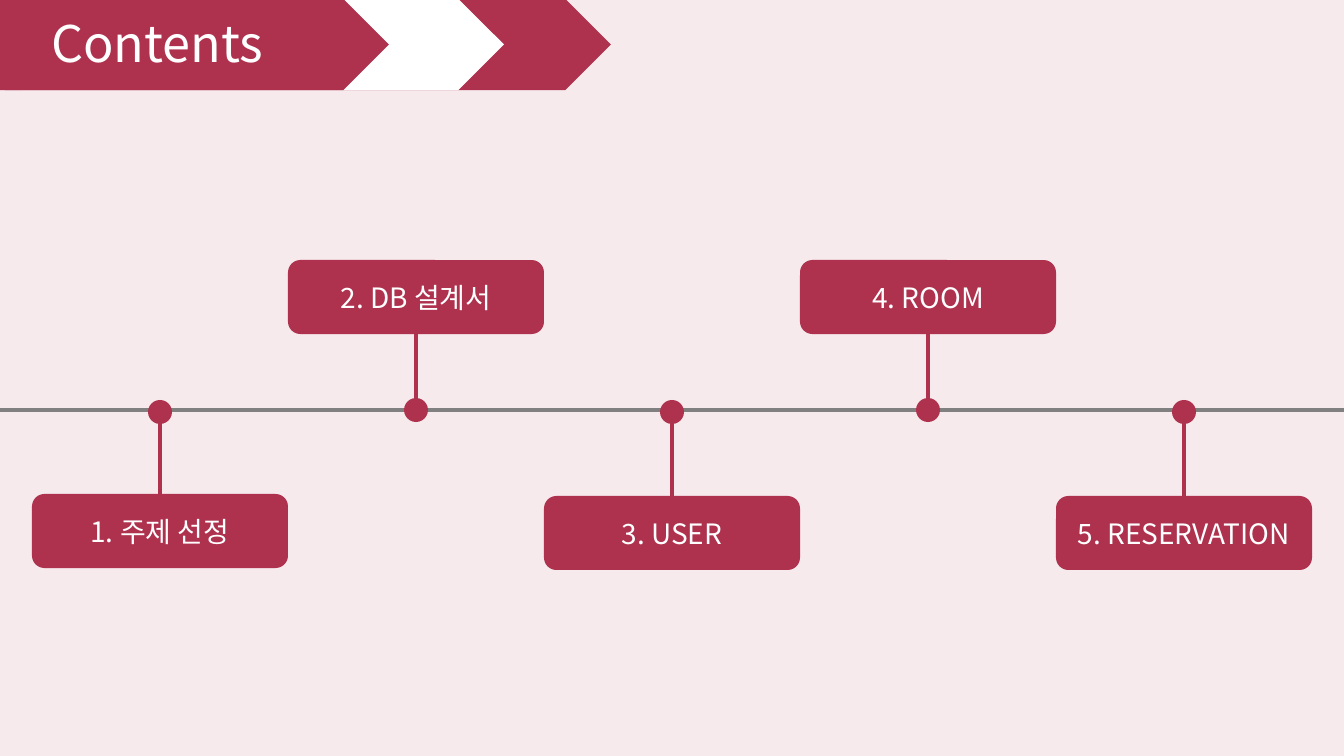
import lxml.etree
import pptx
import pptx.dml.color
import pptx.enum.shapes
import pptx.enum.text
import pptx.oxml.ns
import pptx.util

SHAPES = pptx.enum.shapes.MSO_SHAPE
ALIGN = pptx.enum.text.PP_ALIGN
EMU_PER_PX = 914400 / 100.8
FONT = "Noto Sans CJK KR"
CRIMSON, WHITE, GRAY, BLUSH = "AE314E", "FFFFFF", "808080", "F6EAEC"

# Banner arrows, back to front: left, width, colour
BANNER_ARROWS = [(-1, 612, CRIMSON), (21, 483, WHITE), (5, 384, CRIMSON)]

# Timeline steps: label, top of box, top of dot
STEPS = [
    ("1. 주제 선정", 494, 400),
    ("2. DB 설계서", 260, 398),
    ("3. USER", 496, 400),
    ("4. ROOM", 260, 398),
    ("5. RESERVATION", 496, 400),
]
AXIS_Y = 410
FIRST_LEFT, BOX_WIDTH, BOX_HEIGHT, DOT_SIZE = 32, 256, 74, 24


def px(value):
    return pptx.util.Emu(round(value * EMU_PER_PX))


def rgb(color):
    return pptx.dml.color.RGBColor.from_string(color)


def write_text(shape, text, size, alignment):
    frame = shape.text_frame
    frame.text = text
    frame.word_wrap = True
    frame.auto_size = pptx.enum.text.MSO_AUTO_SIZE.NONE
    frame.vertical_anchor = pptx.enum.text.MSO_ANCHOR.MIDDLE
    paragraph = frame.paragraphs[0]
    paragraph.alignment = alignment
    paragraph.font.size = pptx.util.Pt(size)
    paragraph.font.color.rgb = rgb(WHITE)
    paragraph.font.name = FONT
    # Korean letters take the East Asian typeface
    latin = next(paragraph._p.iter(pptx.oxml.ns.qn("a:latin")))
    east_asian = lxml.etree.Element(pptx.oxml.ns.qn("a:ea"), typeface=FONT)
    latin.addnext(east_asian)


def add_filled_shape(slide, kind, left, top, width, height, color):
    shape = slide.shapes.add_shape(kind, px(left), px(top), px(width), px(height))
    shape.shadow.inherit = False
    shape.fill.solid()
    shape.fill.fore_color.rgb = rgb(color)
    shape.line.fill.background()
    return shape


def add_line(slide, start, end, color):
    line = slide.shapes.add_connector(
        pptx.enum.shapes.MSO_CONNECTOR.STRAIGHT, *map(px, start + end))
    line.line.color.rgb = rgb(color)
    line.line.width = pptx.util.Pt(3)
    properties = line.element.find(pptx.oxml.ns.qn("p:spPr"))
    lxml.etree.SubElement(properties, pptx.oxml.ns.qn("a:effectLst"))
    return line


def add_banner(slide, text):
    for left, width, color in BANNER_ARROWS:
        add_filled_shape(slide, SHAPES.PENTAGON, left, -1, width, 91, color)
    title = slide.shapes.title
    title.left, title.top, title.width, title.height = map(px, (41, 6, 246, 72))
    write_text(title, text, 36, ALIGN.LEFT)
    # Bring the title in front of the arrows
    slide.shapes.element.append(title.element)


def add_step(slide, label, left, box_top, dot_top):
    box = add_filled_shape(slide, SHAPES.ROUNDED_RECTANGLE,
                           left, box_top, BOX_WIDTH, BOX_HEIGHT, CRIMSON)
    write_text(box, label, 20, ALIGN.CENTER)
    center = left + BOX_WIDTH // 2
    add_filled_shape(slide, SHAPES.OVAL, center - DOT_SIZE // 2, dot_top,
                     DOT_SIZE, DOT_SIZE, CRIMSON)
    # The stem joins the side of the box that faces the axis
    if box_top < dot_top:
        dot_edge, box_edge, side = dot_top, box_top + BOX_HEIGHT, 2
    else:
        dot_edge, box_edge, side = dot_top + DOT_SIZE, box_top, 0
    stem = add_line(slide, (center, dot_edge), (center, box_edge), CRIMSON)
    stem.end_connect(box, side)


def main():
    presentation = pptx.Presentation()
    presentation.slide_width, presentation.slide_height = px(1344), px(756)
    slide = presentation.slides.add_slide(presentation.slide_layouts[5])
    slide.background.fill.solid()
    slide.background.fill.fore_color.rgb = rgb(BLUSH)

    # Axis, banner and steps
    add_line(slide, (0, AXIS_Y), (1344, AXIS_Y), GRAY)
    add_banner(slide, "Contents")
    for index, (label, box_top, dot_top) in enumerate(STEPS):
        add_step(slide, label, FIRST_LEFT + index * BOX_WIDTH, box_top, dot_top)

    presentation.save("out.pptx")


if __name__ == "__main__":
    main()
